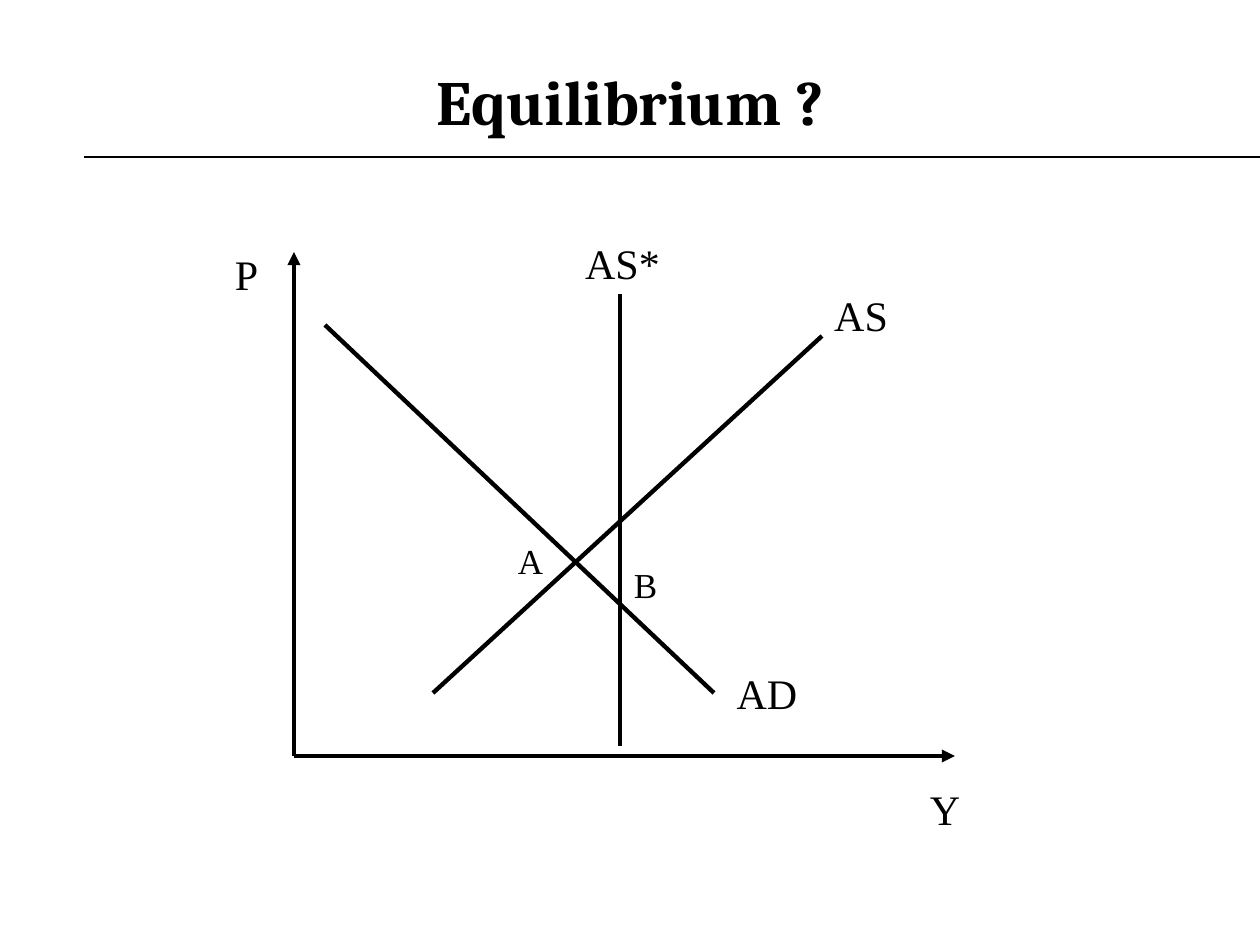
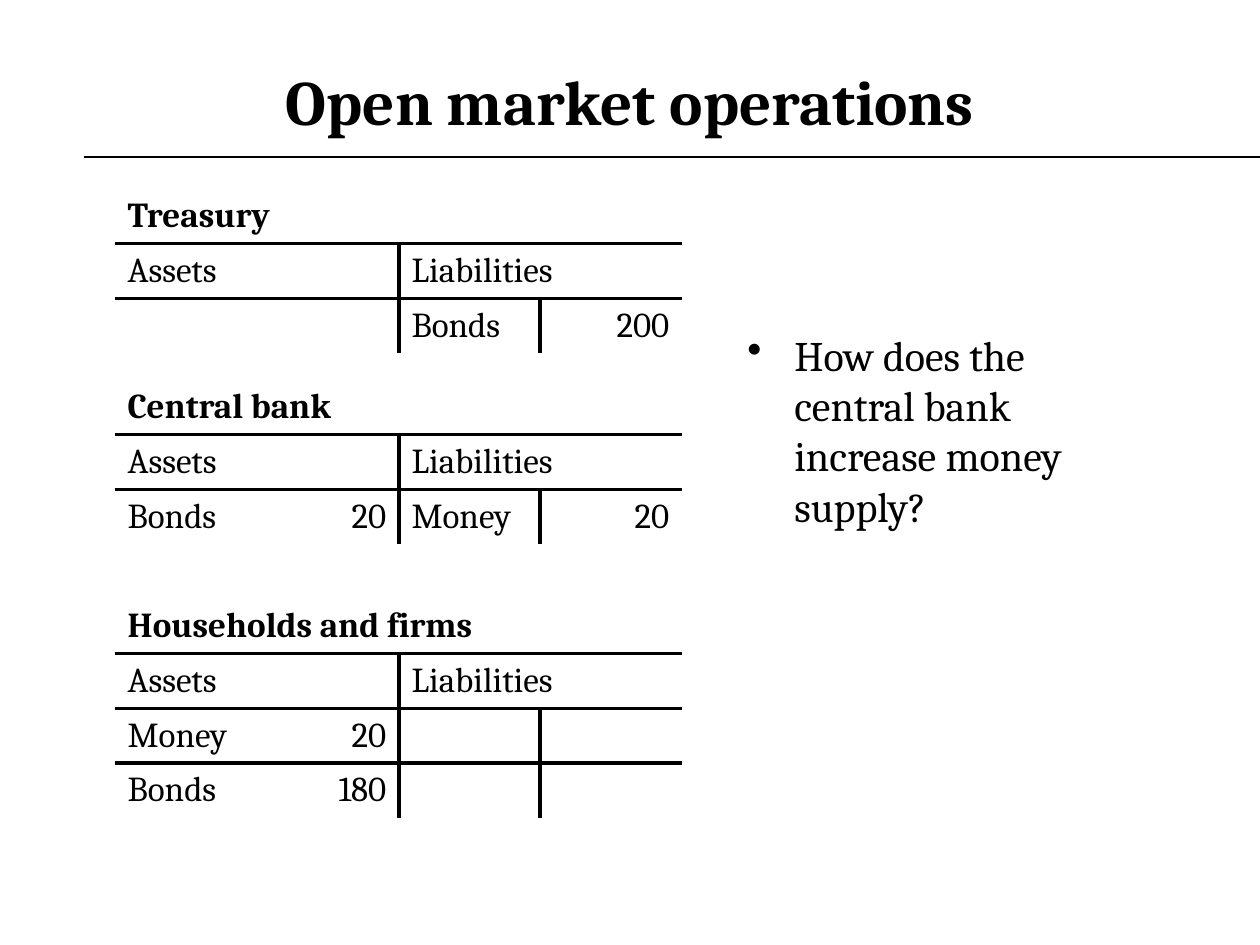
from lxml import etree
from pptx import Presentation
from pptx.dml.color import RGBColor
from pptx.enum.shapes import MSO_CONNECTOR
from pptx.enum.text import MSO_ANCHOR, PP_ALIGN
from pptx.oxml.ns import qn
from pptx.util import Pt

PX = 914400 / 126
BLACK = "000000"
SERIF, LABEL_FONT = "Cambria", "Times New Roman"
LEFT, CENTER, RIGHT = PP_ALIGN.LEFT, PP_ALIGN.CENTER, PP_ALIGN.RIGHT
TOP, MIDDLE = MSO_ANCHOR.TOP, MSO_ANCHOR.MIDDLE
STRAIGHT = MSO_CONNECTOR.STRAIGHT
PLAIN_TABLE = "{2D5ABB26-0587-4C30-8999-92F81FD0307C}"

AXIS_WIDTH, RULE_WIDTH, BORDER_WIDTH = 2.5, 0.75, 2.25
ACCOUNT_COLS = (187, 97, 141, 142)
ACCOUNT_ROW = 54


def px(n):
    return int(n * PX)


def color(hex_string):
    return RGBColor.from_string(hex_string)


def sub(parent, tag, **attrs):
    return etree.SubElement(parent, qn(tag), {k: str(v) for k, v in attrs.items()})


def write(tf, text, size=20, font=SERIF, bold=False, align=LEFT, bullet=None, indent=0):
    p = tf.paragraphs[0]
    p.alignment = align
    if bullet:
        pPr = p._p.get_or_add_pPr()
        pPr.set("marL", str(px(indent)))
        pPr.set("indent", str(-px(indent)))
        sub(pPr, "a:buChar", char=bullet)
    r = p.add_run()
    r.text = text
    r.font.name, r.font.size, r.font.bold = font, Pt(size), bold
    r.font.color.rgb = color(BLACK)


def add_text(s, text, x, y, w, h, anchor=TOP, **fmt):
    tf = s.shapes.add_textbox(px(x), px(y), px(w), px(h)).text_frame
    tf.word_wrap = True
    tf.vertical_anchor = anchor
    write(tf, text, **fmt)


def add_line(s, start, end, width, arrow=False):
    line = s.shapes.add_connector(STRAIGHT, *map(px, (*start, *end)))
    line.line.color.rgb = color(BLACK)
    line.line.width = Pt(width)
    if arrow:
        sub(line.line._get_or_add_ln(), "a:tailEnd", type="triangle")
    sub(line._element.spPr, "a:effectLst")


def add_titled_slide(prs, title):
    s = prs.slides.add_slide(prs.slide_layouts[6])
    add_line(s, (84, 157), (1260, 157), RULE_WIDTH)
    add_text(s, title, 63, 42, 1134, 116, anchor=MIDDLE, size=36, bold=True, align=CENTER)
    return s


def add_supply_demand_diagram(s, x, y):
    origin = (84, 525)
    lines = [
        (origin, (745, 525), True),
        (origin, (84, 21), True),
        ((223, 462), (612, 105), False),
        ((504, 462), (115, 94), False),
        ((410, 515), (410, 63), False),
    ]
    for (x1, y1), (x2, y2), arrow in lines:
        add_line(s, (x + x1, y + y1), (x + x2, y + y2), AXIS_WIDTH, arrow)

    labels = [
        ("Y", 693, 546, 84, 24),
        ("P", 0, 11, 73, 24),
        ("AS", 609, 52, 84, 24),
        ("AD", 499, 430, 116, 24),
        ("AS*", 360, 0, 105, 24),
        ("A", 284, 302, 73, 20),
        ("B", 399, 326, 73, 20),
    ]
    for text, dx, dy, w, size in labels:
        add_text(s, text, x + dx, y + dy, w, 63 if size == 24 else 54,
                 size=size, font=LABEL_FONT, align=CENTER)


def set_borders(cell, sides):
    """Draw the given sides, named by letters from LRTB."""
    tcPr = cell._tc.get_or_add_tcPr()
    for side in "LRTB":
        if side in sides:
            ln = sub(tcPr, f"a:ln{side}", w=Pt(BORDER_WIDTH))
            sub(sub(ln, "a:solidFill"), "a:srgbClr", val=BLACK)


def account_sides(row, col):
    """Rules run above and below the header row, and down the middle."""
    sides = {0: "B", 1: "TB", 2: "T"}.get(row, "")
    if row > 0:
        sides += {1: "R", 2: "L"}.get(col, "")
    if (row, col) == (1, 0):
        sides += "R"  # merged cell reaches the middle rule
    return sides


def add_t_account(s, x, y, holder, entries):
    rows = [(holder, "", "", ""), ("Assets", "", "Liabilities", ""), *entries]
    frame = s.shapes.add_table(len(rows), len(ACCOUNT_COLS), px(x), px(y),
                               px(sum(ACCOUNT_COLS)), px(ACCOUNT_ROW * len(rows)))
    table = frame.table
    table.first_row = table.horz_banding = False
    table._tbl.tblPr.find(qn("a:tableStyleId")).text = PLAIN_TABLE
    for column, width in zip(table.columns, ACCOUNT_COLS):
        column.width = px(width)
    table.cell(0, 0).merge(table.cell(0, 3))
    for col in (0, 2):
        table.cell(1, col).merge(table.cell(1, col + 1))

    for row, texts in enumerate(rows):
        table.rows[row].height = px(ACCOUNT_ROW)
        for col, text in enumerate(texts):
            cell = table.cell(row, col)
            set_borders(cell, account_sides(row, col))
            cell.fill.background()
            cell.vertical_anchor = MIDDLE
            if text:
                write(cell.text_frame, text, bold=row == 0, align=RIGHT if col % 2 else LEFT)


def build_equilibrium(prs):
    s = add_titled_slide(prs, "Equilibrium ?")
    add_supply_demand_diagram(s, 210, 231)


def build_open_market(prs):
    s = add_titled_slide(prs, "Open market operations")
    accounts = [
        (189, "Treasury", [("", "", "Bonds", "200")]),
        (380, "Central bank", [("Bonds", "20", "Money", "20")]),
        (599, "Households and firms", [("Money", "20", "", ""), ("Bonds", "180", "", "")]),
    ]
    for y, holder, entries in accounts:
        add_t_account(s, 115, y, holder, entries)
    add_text(s, "How does the central bank increase money supply?", 735, 323, 431, 367,
             size=24, bullet="•", indent=47)


def main():
    prs = Presentation()
    prs.slide_width, prs.slide_height = px(1260), px(945)
    build_equilibrium(prs)
    build_open_market(prs)
    prs.save("out.pptx")


if __name__ == "__main__":
    main()
